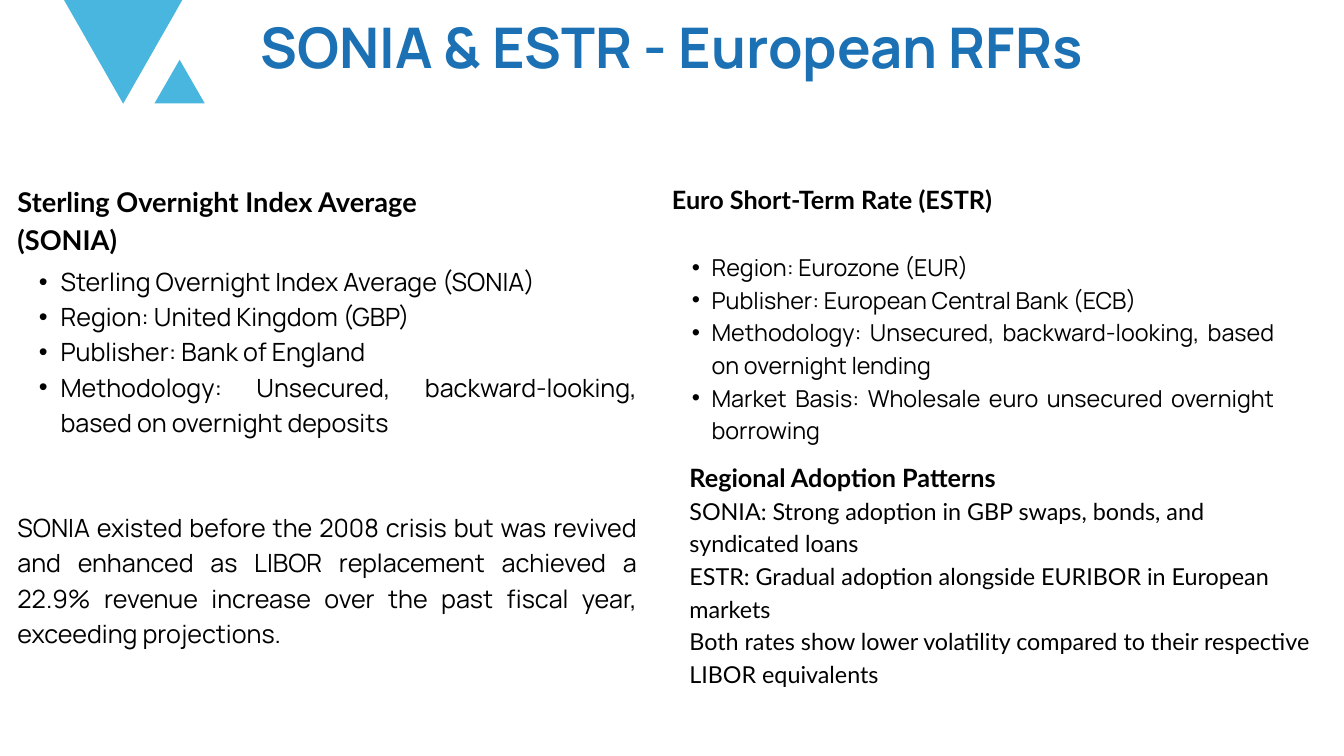
from dataclasses import dataclass

from lxml.etree import SubElement
from pptx import Presentation
from pptx.dml.color import RGBColor
from pptx.enum.shapes import MSO_SHAPE
from pptx.enum.text import MSO_AUTO_SIZE, PP_ALIGN
from pptx.oxml.ns import qn
from pptx.util import Cm, Pt


@dataclass(frozen=True)
class TextStyle:
    font: str
    size: float
    line: float
    bold: bool = False
    color: str = "000000"
    align: PP_ALIGN = PP_ALIGN.LEFT


@dataclass(frozen=True)
class Theme:
    accent: str = "49B6DF"
    title: TextStyle = TextStyle("Manrope", 60, 64.8, True, "1B71B3")
    sonia_heading: TextStyle = TextStyle("Lato", 29.1, 40.7, True)
    heading: TextStyle = TextStyle("Lato", 27, 37.8, True)
    sonia_body: TextStyle = TextStyle("Manrope", 26.9, 37.7, align=PP_ALIGN.JUSTIFY)
    estr_body: TextStyle = TextStyle("Manrope", 25, 35, align=PP_ALIGN.JUSTIFY)
    adoption_body: TextStyle = TextStyle("Lato", 25, 35)


@dataclass(frozen=True)
class Box:
    """A rectangle in centimetres."""
    left: float
    top: float
    width: float
    height: float

    def inside(self, left, top, width, height):
        return Box(self.left + left, self.top + top, width, height)

    def lengths(self):
        return Cm(self.left), Cm(self.top), Cm(self.width), Cm(self.height)


THEME = Theme()


def add_text_frame(slide, box):
    frame = slide.shapes.add_textbox(*box.lengths()).text_frame
    frame.margin_left = frame.margin_top = frame.margin_right = frame.margin_bottom = 0
    frame.word_wrap = True
    frame.auto_size = MSO_AUTO_SIZE.SHAPE_TO_FIT_TEXT
    return frame


def add_paragraph(frame, text, style, indent=None, space_before=0):
    """Fill the empty first paragraph or append one; an indent in cm makes it a bullet."""
    first = frame.paragraphs[0]
    paragraph = frame.add_paragraph() if first.runs else first
    paragraph.alignment = style.align
    paragraph.line_spacing = Pt(style.line)
    paragraph.space_before = Pt(space_before)
    run = paragraph.add_run()
    run.text = text
    run.font.name = style.font
    run.font.size = Pt(style.size)
    run.font.bold = style.bold
    run.font.color.rgb = RGBColor.from_string(style.color)
    if indent:
        paragraph.level = 1
        properties = paragraph._p.get_or_add_pPr()
        properties.set("marL", str(Cm(indent)))
        properties.set("indent", str(-Cm(indent / 2)))
        SubElement(properties, qn("a:buFont"), typeface="Arial")
        SubElement(properties, qn("a:buChar"), char="•")


def add_triangle(slide, box, rotation=0):
    triangle = slide.shapes.add_shape(MSO_SHAPE.ISOSCELES_TRIANGLE, *box.lengths())
    triangle.rotation = rotation
    triangle.shadow.inherit = False
    triangle.fill.solid()
    triangle.fill.fore_color.rgb = RGBColor.from_string(THEME.accent)
    triangle.line.fill.background()


def add_header(slide, box):
    add_triangle(slide, box.inside(0, 0, 5.51, 4.83), rotation=180)
    add_triangle(slide, box.inside(3.94, 3.17, 1.9, 1.65))
    title = add_text_frame(slide, box.inside(7.55, 1.62, 35.71, 2.51))
    title.margin_left = Cm(0.4)
    add_paragraph(title, "SONIA & ESTR - European RFRs", THEME.title)


def add_sonia_column(slide, box):
    heading = add_text_frame(slide, box.inside(0, 0, 18.77, 2.77))
    add_paragraph(heading, "Sterling Overnight Index Average (SONIA)", THEME.sonia_heading)
    body = add_text_frame(slide, box.inside(0, 3.07, box.width, box.height - 3.07))
    for fact in (
        "Sterling Overnight Index Average (SONIA)",
        "Region: United Kingdom (GBP)",
        "Publisher: Bank of England",
        "Methodology: Unsecured, backward-looking, based on overnight deposits",
    ):
        add_paragraph(body, fact, THEME.sonia_body, indent=1.63)
    add_paragraph(
        body,
        "SONIA existed before the 2008 crisis but was revived and enhanced as LIBOR "
        "replacement achieved a 22.9% revenue increase over the past fiscal year, "
        "exceeding projections.",
        THEME.sonia_body,
        space_before=2 * THEME.sonia_body.line,
    )


def add_estr_column(slide, box):
    heading = add_text_frame(slide, box.inside(0, 0, 16.38, 1.3))
    add_paragraph(heading, "Euro Short-Term Rate (ESTR)", THEME.heading)
    facts = add_text_frame(slide, box.inside(0, 2.62, 22.76, 8.53))
    for fact in (
        "Region: Eurozone (EUR)",
        "Publisher: European Central Bank (ECB)",
        "Methodology: Unsecured, backward-looking, based on overnight lending",
        "Market Basis: Wholesale euro unsecured overnight borrowing",
    ):
        add_paragraph(facts, fact, THEME.estr_body, indent=1.5)


def add_adoption_patterns(slide, box):
    frame = add_text_frame(slide, box)
    add_paragraph(frame, "Regional Adoption Patterns", THEME.heading)
    for pattern in (
        "SONIA: Strong adoption in GBP swaps, bonds, and syndicated loans",
        "ESTR: Gradual adoption alongside EURIBOR in European markets",
        "Both rates show lower volatility compared to their respective LIBOR equivalents",
    ):
        add_paragraph(frame, pattern, THEME.adoption_body)


def main():
    presentation = Presentation()
    presentation.slide_width = Cm(50.8)
    presentation.slide_height = Cm(28.58)
    slide = presentation.slides.add_slide(presentation.slide_layouts[6])
    add_header(slide, Box(1.9, -0.91, 43.26, 4.83))
    add_sonia_column(slide, Box(0.66, 6.81, 23.42, 20.14))
    add_estr_column(slide, Box(25.4, 6.78, 22.76, 11.15))
    add_adoption_patterns(slide, Box(26.06, 17.27, 23.5, 9.7))
    presentation.save("out.pptx")


if __name__ == "__main__":
    main()
